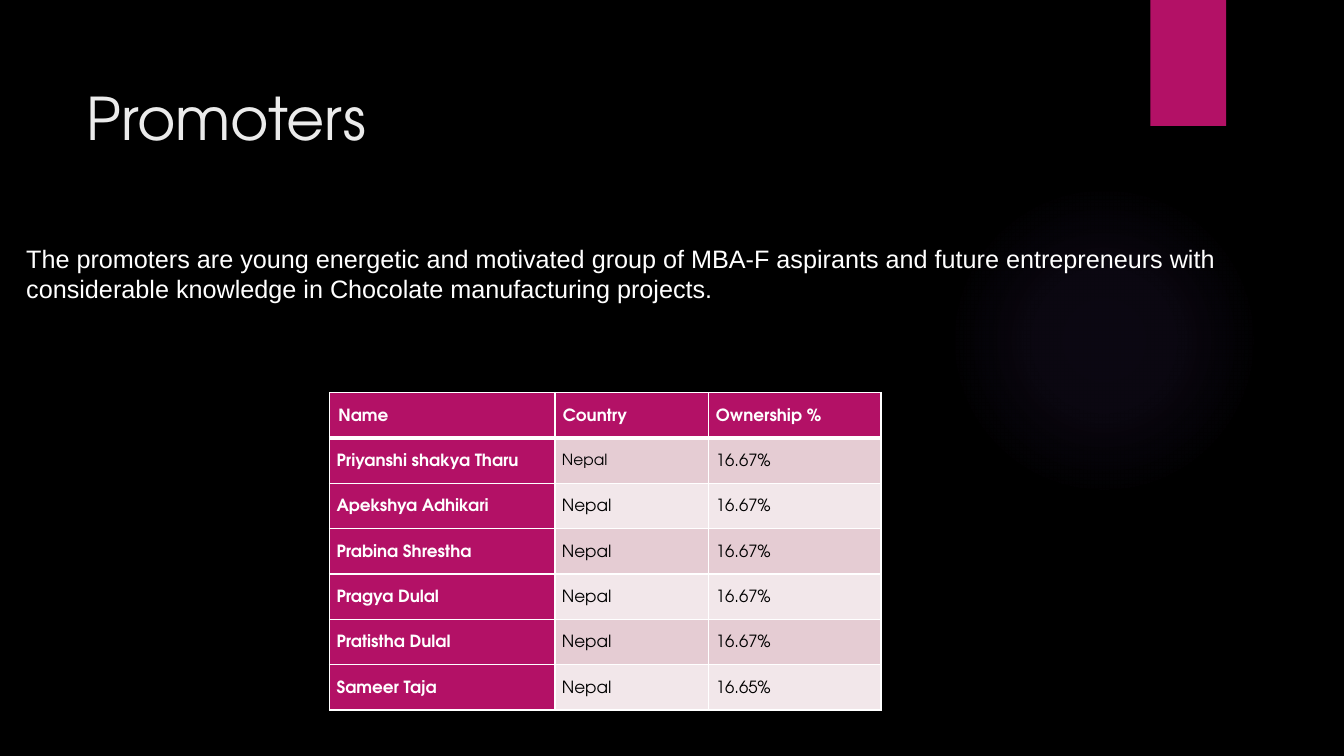
from lxml.etree import SubElement
from pptx import Presentation
from pptx.dml.color import RGBColor
from pptx.enum.shapes import MSO_SHAPE
from pptx.enum.text import MSO_ANCHOR
from pptx.oxml import parse_xml
from pptx.oxml.ns import nsdecls, qn
from pptx.util import Pt

FONT = "TeX Gyre Adventor"
PINK, WHITE, BLACK = "B31166", "FFFFFF", "000000"
BANDS = ["E5CCD3", "F2E7EA"]


def color(hex_string):
    return RGBColor.from_string(hex_string)


def add_run(para, text, size, hex_string, font=FONT, bold=False):
    span = para.add_run()
    span.text = text
    span.font.name = font
    span.font.size = Pt(size)
    span.font.bold = bold
    span.font.color.rgb = color(hex_string)


deck = Presentation()
deck.slide_width, deck.slide_height = Pt(960), Pt(540)
page = deck.slides.add_slide(deck.slide_layouts[6])
page.background.fill.solid()
page.background.fill.fore_color.rgb = color(BLACK)

# Soft violet glow, fading out from its centre
glow = page.shapes.add_shape(MSO_SHAPE.OVAL, Pt(677.5), Pt(131.8), Pt(221.8), Pt(221.8))
glow.shadow.inherit = False
glow.line.fill.background()
stops = "".join(
    f'<a:gs pos="{position * 1000}"><a:srgbClr val="9B6BF2">'
    f'<a:alpha val="{opacity * 1000}"/></a:srgbClr></a:gs>'
    for position, opacity in [(0, 7), (36, 6), (69, 0)]
)
glow_fill = parse_xml(
    f'<a:gradFill {nsdecls("a")} rotWithShape="1"><a:gsLst>{stops}</a:gsLst>'
    '<a:path path="circle"><a:fillToRect l="50000" t="50000" r="50000" b="50000"/></a:path>'
    "</a:gradFill>"
)
glow.element.spPr.find(qn("a:prstGeom")).addnext(glow_fill)

# Pink tab at the top edge
tab = page.shapes.add_shape(MSO_SHAPE.RECTANGLE, Pt(821.8), Pt(0), Pt(54), Pt(90))
tab.shadow.inherit = False
tab.fill.solid()
tab.fill.fore_color.rgb = color(PINK)
tab.line.fill.background()

# Title
title = page.shapes.add_textbox(Pt(54.7), Pt(54.7), Pt(736.6), Pt(91.4)).text_frame
title.word_wrap = True
add_run(title.paragraphs[0], "Promoters", 42, "EBEBEB")

# Table of promoters
rows = [["Name", "Country", "Ownership %"]] + [
    [name, "Nepal", share]
    for name, share in [
        ("Priyanshi shakya Tharu", "16.67%"),
        ("Apekshya Adhikari", "16.67%"),
        ("Prabina Shrestha", "16.67%"),
        ("Pragya Dulal", "16.67%"),
        ("Pratistha Dulal", "16.67%"),
        ("Sameer Taja", "16.65%"),
    ]
]
widths = [161, 110, 123]
row_height = 32.4
header_indents = [1.4, 0.7, 0]
table = page.shapes.add_table(
    len(rows), len(widths), Pt(235.4), Pt(280.4), Pt(sum(widths)), Pt(row_height * len(rows))
).table
table.first_col = True
for column, width in zip(table.columns, widths):
    column.width = Pt(width)

for row_index, texts in enumerate(rows):
    table.rows[row_index].height = Pt(row_height)
    for column_index, text in enumerate(texts):
        cell = table.cell(row_index, column_index)
        is_header = row_index == 0
        is_label = is_header or column_index == 0
        cell.vertical_anchor = MSO_ANCHOR.MIDDLE
        cell.margin_left, cell.margin_right = Pt(5), Pt(5.8)
        cell.margin_top = cell.margin_bottom = Pt(0)

        # White borders, with a thick rule under the header
        properties = cell._tc.get_or_add_tcPr()
        for side in ["L", "R", "T", "B"]:
            is_rule = (row_index, side) in [(0, "B"), (1, "T")]
            border = SubElement(properties, qn(f"a:ln{side}"), w=str(Pt(3 if is_rule else 1)))
            border_fill = SubElement(border, qn("a:solidFill"))
            SubElement(border_fill, qn("a:srgbClr"), val=WHITE)
        cell.fill.solid()
        cell.fill.fore_color.rgb = color(PINK if is_label else BANDS[(row_index - 1) % 2])

        para = cell.text_frame.paragraphs[0]
        para.line_spacing = 1.15
        if is_header:
            para._p.get_or_add_pPr().set("marL", str(Pt(header_indents[column_index])))
        size = 11 if (row_index, column_index) == (1, 1) else 12
        add_run(para, text, size, WHITE if is_label else BLACK, bold=is_label)

# Introduction
intro = page.shapes.add_textbox(Pt(18), Pt(154.8), Pt(920.9), Pt(102.2)).text_frame
intro.word_wrap = True
intro.vertical_anchor = MSO_ANCHOR.MIDDLE
intro.margin_left, intro.margin_right = Pt(0.7), Pt(0)
intro.margin_top, intro.margin_bottom = Pt(0), Pt(21.6)
add_run(
    intro.paragraphs[0],
    "The promoters are young energetic and motivated group of MBA-F aspirants and future "
    "entrepreneurs with considerable knowledge in Chocolate manufacturing projects.",
    18, WHITE, "Arial",
)

deck.save("out.pptx")
